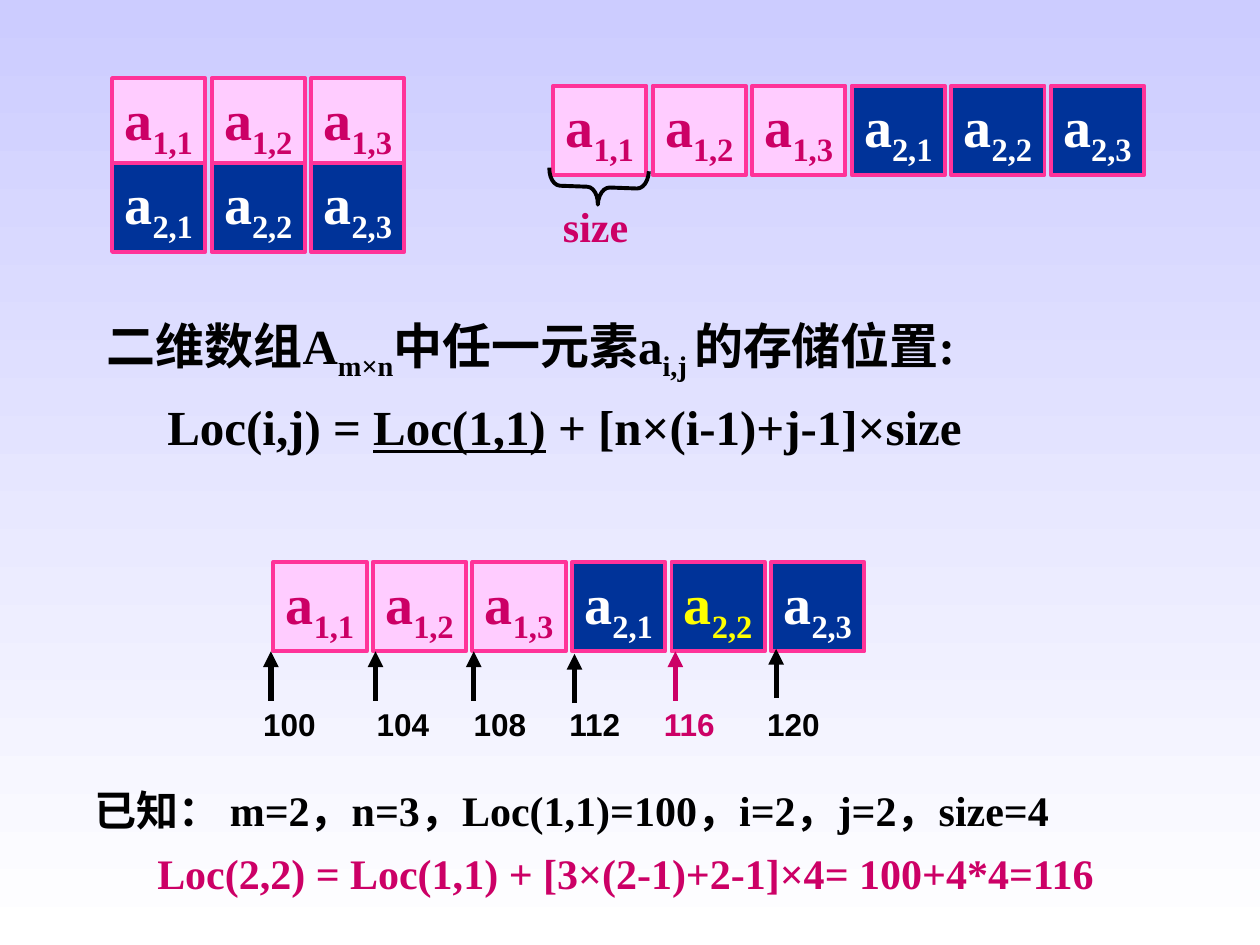
import pptx
import pptx.dml.color
import pptx.enum.shapes
import pptx.enum.text
import pptx.oxml.ns
import pptx.util
from lxml import etree

Inches = pptx.util.Inches
Pt = pptx.util.Pt
qn = pptx.oxml.ns.qn

COLORS = {
    "sky": "CCCCFF", "white": "FFFFFF", "black": "000000", "pink": "FFCCFF",
    "navy": "003399", "border": "FF3399", "magenta": "CC0066", "yellow": "FFFF00",
}
CELL_WIDTH, CELL_HEIGHT, CELL_STEP = 0.74, 0.71, 0.79
SUB = {"subscript": True}
ROW_ONE = ["1,1", "1,2", "1,3"]
ROW_TWO = ["2,1", "2,2", "2,3"]


def rgb(name):
    return pptx.dml.color.RGBColor.from_string(COLORS[name])


def add_run(paragraph, text, size=24, color="black", font="Times New Roman",
            subscript=False, underline=False):
    run = paragraph.add_run()
    run.text = text
    run.font.size = Pt(size)
    run.font.bold = True
    run.font.name = font
    run.font.color.rgb = rgb(color)
    if underline:
        run.font.underline = True
    if subscript:
        run.font._element.set("baseline", "-25000")


def write_runs(paragraph, runs, indent=0, spacing=None, tabs=(), **style):
    paragraph.alignment = pptx.enum.text.PP_ALIGN.LEFT
    if spacing:
        paragraph.line_spacing = spacing
    properties = paragraph._p.get_or_add_pPr()
    if indent:
        properties.set("marL", str(Inches(indent)))
    if tabs:
        tab_list = etree.SubElement(properties, qn("a:tabLst"))
        for position in tabs:
            etree.SubElement(tab_list, qn("a:tab"), pos=str(Inches(position)), algn="l")
    for text, override in runs:
        add_run(paragraph, text, **{**style, **override})


def add_text(slide, left, top, width, height, lines, **style):
    box = slide.shapes.add_textbox(Inches(left), Inches(top), Inches(width), Inches(height))
    frame = box.text_frame
    frame.word_wrap = True
    for index, (indent, runs) in enumerate(lines):
        paragraph = frame.add_paragraph() if index else frame.paragraphs[0]
        write_runs(paragraph, runs, indent=indent, **style)


def add_cell(slide, left, top, index, highlighted):
    first_row = index in ROW_ONE
    shape = slide.shapes.add_shape(
        pptx.enum.shapes.MSO_SHAPE.RECTANGLE,
        Inches(left), Inches(top), Inches(CELL_WIDTH), Inches(CELL_HEIGHT))
    shape.shadow.inherit = False
    shape.fill.solid()
    shape.fill.fore_color.rgb = rgb("pink" if first_row else "navy")
    shape.line.color.rgb = rgb("border")
    shape.line.width = Pt(2.25)
    frame = shape.text_frame
    frame.word_wrap = False
    frame.vertical_anchor = pptx.enum.text.MSO_ANCHOR.TOP
    color = "yellow" if highlighted else "magenta" if first_row else "white"
    write_runs(frame.paragraphs[0], [("a", {}), (index, SUB)], size=32, color=color)


def add_cells(slide, left, top, indices, highlight=None):
    for column, index in enumerate(indices):
        add_cell(slide, left + column * CELL_STEP, top, index, index == highlight)


def add_brace(slide):
    brace = slide.shapes.add_shape(
        pptx.enum.shapes.MSO_SHAPE.LEFT_BRACE,
        Inches(4.61), Inches(1.09), Inches(0.28), Inches(0.79))
    brace.adjustments[0] = 0.32
    brace.rotation = 272.1
    brace.shadow.inherit = False
    brace.fill.background()
    brace.line.color.rgb = rgb("black")
    brace.line.width = Pt(2.25)


def add_arrow(slide, x, bottom, color):
    arrow = slide.shapes.add_connector(
        pptx.enum.shapes.MSO_CONNECTOR.STRAIGHT,
        Inches(x), Inches(bottom), Inches(x), Inches(bottom - 0.39))
    arrow.line.color.rgb = rgb(color)
    arrow.line.width = Pt(3)
    etree.SubElement(arrow.line._get_or_add_ln(), qn("a:tailEnd"), type="triangle")
    etree.SubElement(arrow._element.spPr, qn("a:effectLst"))


def add_addresses(slide):
    runs = [("100\t104\t108\t112\t", {}), ("116", {"color": "magenta"}), ("\t120", {})]
    add_text(slide, 1.99, 5.55, 4.85, 0.4, [(0, runs)], size=18, font="Arial",
             tabs=(0.9, 1.67, 2.43, 3.18, 4.0))
    arrows = [(2.15, 5.56), (2.98, 5.56), (3.76, 5.56), (4.56, 5.58), (5.36, 5.56), (6.16, 5.54)]
    for column, (x, bottom) in enumerate(arrows):
        add_arrow(slide, x, bottom, "magenta" if column == 4 else "black")


def set_background(slide):
    fill = slide.background.fill
    fill.gradient()
    fill.gradient_angle = 270
    for stop, name in zip(fill.gradient_stops, ("sky", "white")):
        stop.color.rgb = rgb(name)


def main():
    presentation = pptx.Presentation()
    presentation.slide_width = Inches(10)
    presentation.slide_height = Inches(7.5)
    slide = presentation.slides.add_slide(presentation.slide_layouts[6])
    set_background(slide)

    location_rule = [
        (0, [("二维数组A", {}), ("m×n", SUB), ("中任一元素a", {}), ("i,j ", SUB),
             ("的存储位置:", {})]),
        (0.48, [("Loc(i,j) = ", {}), ("Loc(1,1)", {"underline": True}),
                (" + [n×(i-1)+j-1]×size", {})]),
    ]
    add_text(slide, 0.75, 2.32, 7.98, 1.35, location_rule, size=28, spacing=1.25)

    add_cells(slide, 0.89, 0.62, ROW_ONE)
    add_cells(slide, 0.89, 1.29, ROW_TWO)
    add_cells(slide, 4.39, 0.68, ROW_ONE + ROW_TWO)
    add_brace(slide)
    add_text(slide, 4.37, 1.54, 0.87, 0.5, [(0, [("size", {})])], color="magenta")

    worked_example = [
        (0, [("已知： m=2，n=3，Loc(1,1)=100，i=2，j=2，size=4", {})]),
        (0.5, [("Loc(2,2) = Loc(1,1) + [3×(2-1)+2-1]×4= 100+4*4=116", {"color": "magenta"})]),
    ]
    add_text(slide, 0.65, 6.08, 9, 1.1, worked_example, spacing=1.25)

    add_cells(slide, 2.17, 4.46, ROW_ONE + ROW_TWO, highlight="2,2")
    add_addresses(slide)
    presentation.save("out.pptx")


if __name__ == "__main__":
    main()
